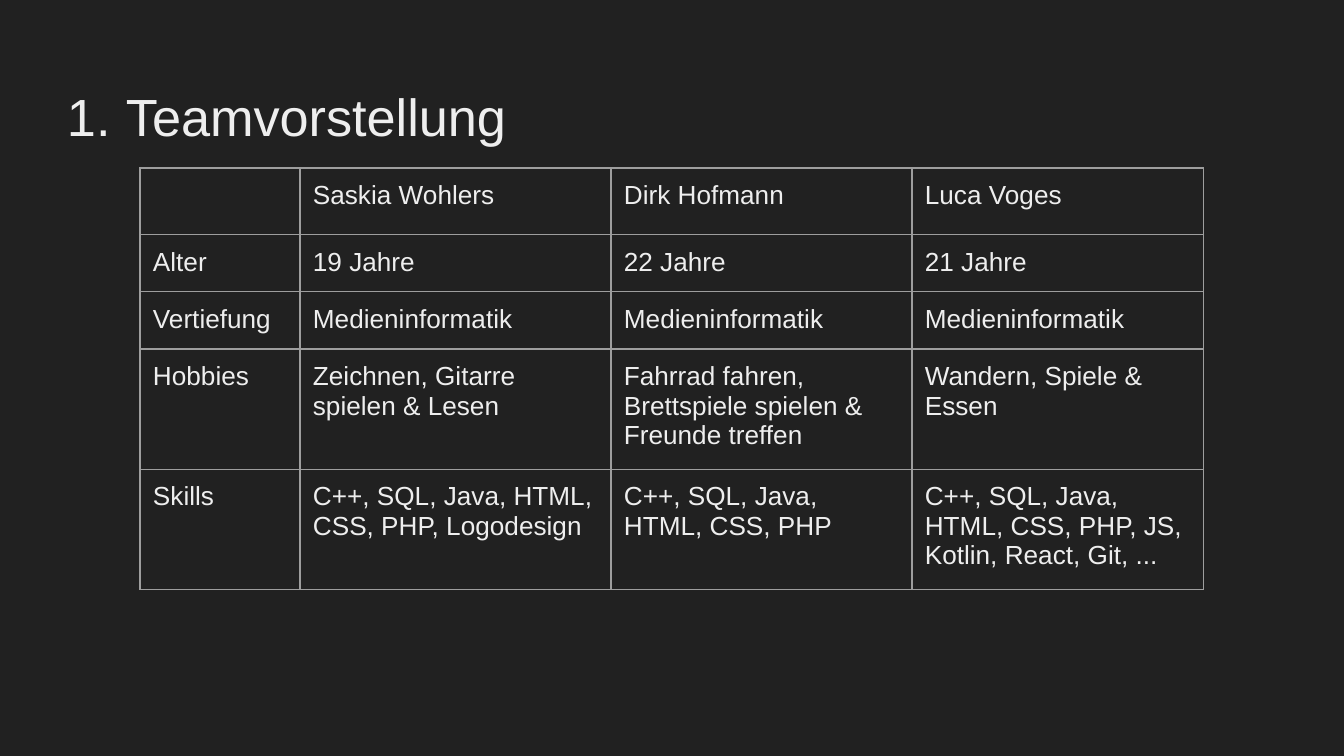
from lxml.etree import SubElement
from pptx import Presentation
from pptx.dml.color import RGBColor
from pptx.enum.text import MSO_ANCHOR
from pptx.oxml.ns import qn
from pptx.util import Pt

SCALE = 6803.57  # EMU in one px
BACK, INK, RULE = "212121", "EEEEEE", "9E9E9E"

TEAM = [
    ["", "Saskia Wohlers", "Dirk Hofmann", "Luca Voges"],
    ["Alter", "19 Jahre", "22 Jahre", "21 Jahre"],
    ["Vertiefung"] + ["Medieninformatik"] * 3,
    ["Hobbies", "Zeichnen, Gitarre spielen & Lesen",
     "Fahrrad fahren, Brettspiele spielen & Freunde treffen",
     "Wandern, Spiele & Essen"],
    ["Skills", "C++, SQL, Java, HTML, CSS, PHP, Logodesign",
     "C++, SQL, Java, HTML, CSS, PHP",
     "C++, SQL, Java, HTML, CSS, PHP, JS, Kotlin, React, Git, ..."],
]
COLS = [160, 311, 301, 292]
ROWS = [65, 56, 56, 115, 115]


def px(num):
    return round(num * SCALE)


def color(code):
    return RGBColor.from_string(code)


class Deck:
    """Holds the style and the current slide."""

    def __init__(self, font, ink, rule, pad):
        self.font, self.ink, self.rule, self.pad = font, ink, rule, pad
        self.file = Presentation()
        self.file.slide_width, self.file.slide_height = px(1344), px(756)

    def page(self, back):
        self.slide = self.file.slides.add_slide(self.file.slide_layouts[6])
        fill = self.slide.background.fill
        fill.solid()
        fill.fore_color.rgb = color(back)

    def run(self, para, text, size):
        run = para.add_run()
        run.text = text
        run.font.name, run.font.size = self.font, Pt(size)
        run.font.color.rgb = color(self.ink)

    def number(self, para, left, hang):
        """Number the paragraph 1., 2., ... with a hanging indent."""
        props = para._p.get_or_add_pPr()
        props.set("marL", str(px(left)))
        props.set("indent", str(px(-hang)))
        tint = SubElement(props, qn("a:buClr"))
        SubElement(tint, qn("a:srgbClr"), val=self.ink)
        SubElement(props, qn("a:buFont"), typeface=self.font)
        SubElement(props, qn("a:buAutoNum"), type="arabicPeriod")

    def title(self, text, left, top, width, height):
        box = self.slide.shapes.add_textbox(px(left), px(top), px(width), px(height))
        frame = box.text_frame
        frame.word_wrap = True
        frame.vertical_anchor = MSO_ANCHOR.TOP
        frame.margin_left = frame.margin_right = px(self.pad)
        frame.margin_top, frame.margin_bottom = px(18), 0
        para = frame.paragraphs[0]
        self.number(para, 67, 59)
        self.run(para, text, 28)

    def border(self, cell):
        props = cell._tc.get_or_add_tcPr()
        for side in "LRTB":
            line = SubElement(props, qn(f"a:ln{side}"), w=str(Pt(0.75)))
            fill = SubElement(line, qn("a:solidFill"))
            SubElement(fill, qn("a:srgbClr"), val=self.rule)

    def cell(self, cell, text):
        self.border(cell)
        cell.fill.background()
        cell.margin_left = cell.margin_right = px(self.pad)
        cell.margin_top = cell.margin_bottom = px(self.pad)
        if text:
            self.run(cell.text_frame.paragraphs[0], text, 14)

    def table(self, data, left, top, cols, rows):
        frame = self.slide.shapes.add_table(
            len(rows), len(cols), px(left), px(top), px(sum(cols)), px(sum(rows)))
        grid = frame.table
        grid.first_row = grid.horz_banding = False
        for col, width in zip(grid.columns, cols):
            col.width = px(width)
        for row, height, texts in zip(grid.rows, rows, data):
            row.height = px(height)
            for cell, text in zip(row.cells, texts):
                self.cell(cell, text)


def main():
    deck = Deck("Arial", INK, RULE, 13)
    deck.page(BACK)
    deck.title("Teamvorstellung", 46, 66, 1253, 85)
    deck.table(TEAM, 140, 168, COLS, ROWS)
    deck.file.save("out.pptx")


if __name__ == "__main__":
    main()
